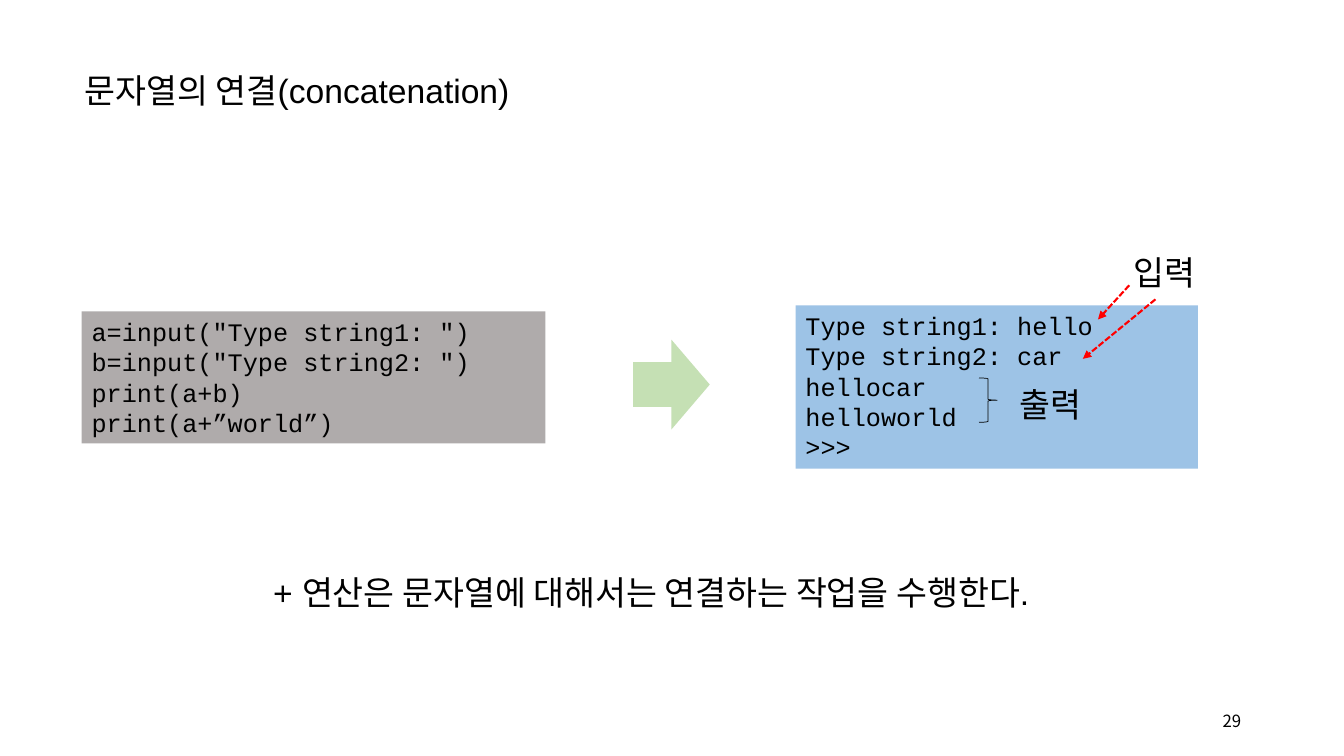
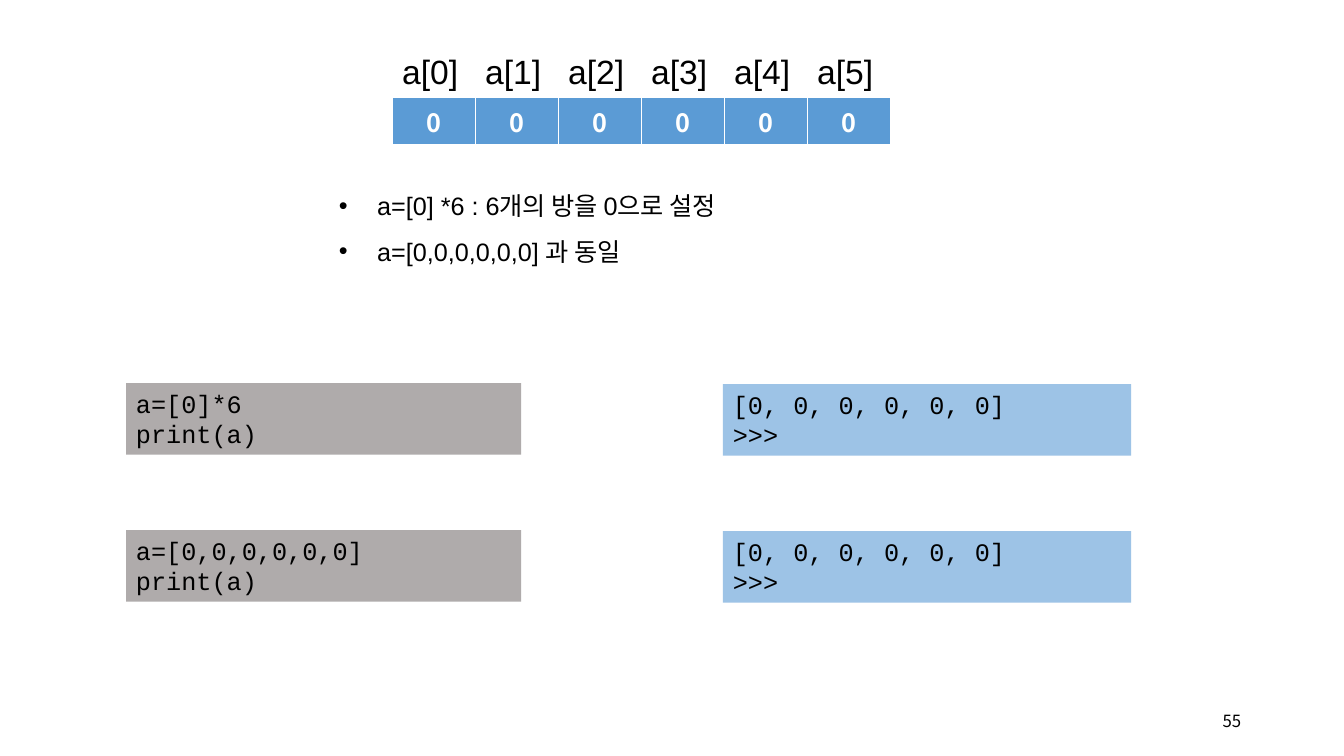
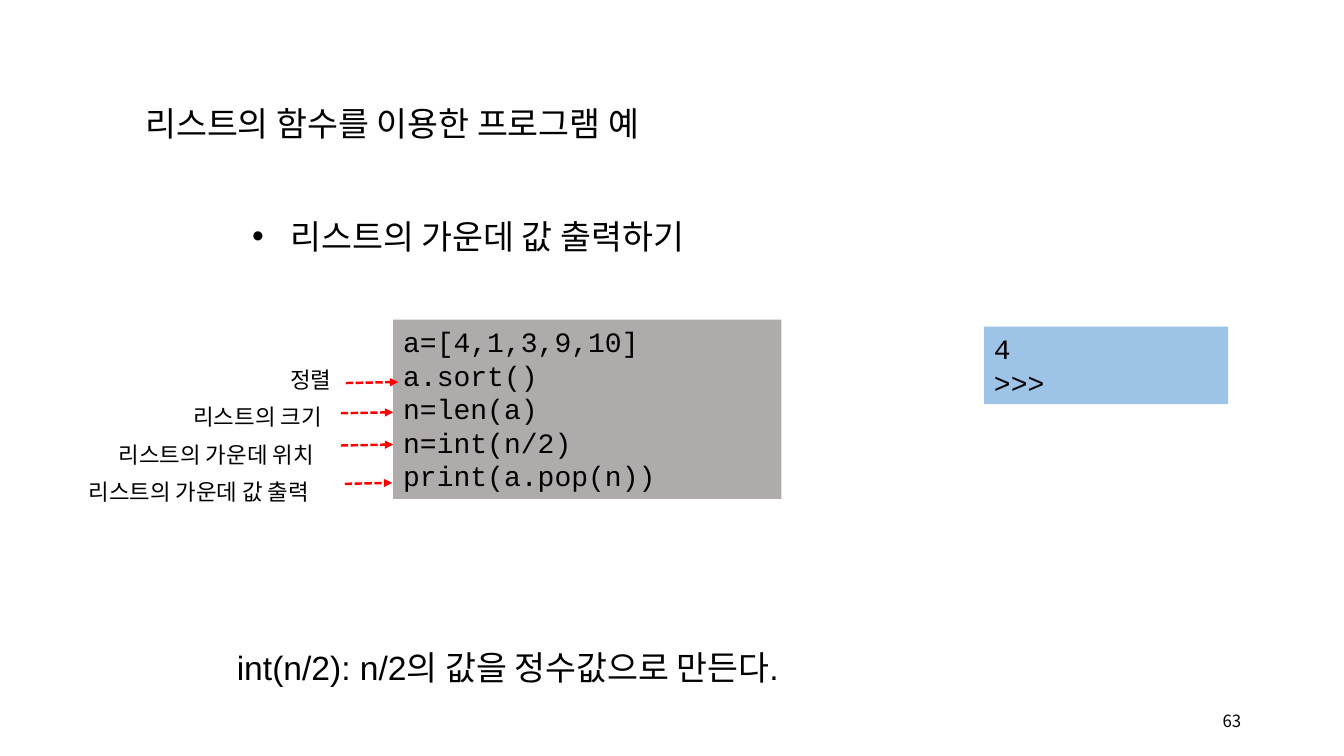
from collections import namedtuple

from lxml import etree
from pptx import Presentation
from pptx.dml.color import RGBColor
from pptx.enum.dml import MSO_LINE
from pptx.enum.shapes import MSO_CONNECTOR, MSO_SHAPE
from pptx.enum.text import MSO_ANCHOR, MSO_AUTO_SIZE, PP_ALIGN
from pptx.oxml.ns import qn
from pptx.util import Inches, Pt

# The grid has columns and rows one inch apart.
Box = namedtuple("Box", "left top width height")
SLIDE_COLUMNS, SLIDE_ROWS = 13.33, 7.5
PAGE_NUMBER_BOX = Box(11.93, 6.95, 0.48, 0.4)
LIST_INDENT = 0.38

COLORS = {
    "text": "000000",
    "code": "AFABAB",
    "result": "9DC3E6",
    "arrow": "C5E0B4",
    "pointer": "FF0000",
    "cell": "5B9BD5",
    "cell_text": "FFFFFF",
}
SANS, MONO, KOREAN = "Arial", "Courier New", "Noto Sans CJK KR"
LEFT, CENTER, RIGHT = PP_ALIGN.LEFT, PP_ALIGN.CENTER, PP_ALIGN.RIGHT
TOP, MIDDLE = MSO_ANCHOR.TOP, MSO_ANCHOR.MIDDLE
FIT_SHAPE, NO_FIT = MSO_AUTO_SIZE.SHAPE_TO_FIT_TEXT, MSO_AUTO_SIZE.NONE
STRAIGHT, DASH = MSO_CONNECTOR.STRAIGHT, MSO_LINE.SQUARE_DOT
RECTANGLE, RIGHT_ARROW, RIGHT_BRACE = (
    MSO_SHAPE.RECTANGLE, MSO_SHAPE.RIGHT_ARROW, MSO_SHAPE.RIGHT_BRACE)
TITLE_ONLY, TITLE_AND_LIST, BLANK_TITLE_LIST = 5, 1, 1


def rgb(name):
    return RGBColor.from_string(COLORS[name])


def emu(box):
    return [Inches(value) for value in box]


def set_all(target, values):
    for name, value in values.items():
        setattr(target, name, value)


def write(frame, lines, font=SANS, size=24, color="text", bold=False,
          align=LEFT, spacing=1.5, indent=None):
    """Fill a text frame with one paragraph for each line."""
    for number, line in enumerate(lines):
        para = frame.add_paragraph() if number else frame.paragraphs[0]
        set_all(para, {"alignment": align, "line_spacing": spacing,
                       "space_before": Pt(0)})
        if indent:
            properties = para._p.get_or_add_pPr()
            properties.set("marL", str(Inches(indent)))
            properties.set("indent", str(-Inches(indent)))
        span = para.add_run()
        span.text = line
        set_all(span.font, {"name": font, "size": Pt(size), "bold": bold})
        span.font.color.rgb = rgb(color)


def fill_placeholder(holder, box, lines, **style):
    set_all(holder, dict(zip(Box._fields, emu(box))))
    set_all(holder.text_frame, {"word_wrap": True, "auto_size": NO_FIT,
                                "vertical_anchor": TOP})
    write(holder.text_frame, lines, **style)


def title(page, box, text):
    fill_placeholder(page.shapes.title, box, [text])


def bullet_list(page, box, lines, size=24):
    fill_placeholder(page.placeholders[1], box, lines, size=size, indent=LIST_INDENT)


def label(page, box, text, size=24):
    frame = page.shapes.add_textbox(*emu(box)).text_frame
    set_all(frame, {"word_wrap": False, "auto_size": FIT_SHAPE})
    write(frame, [text], size=size)


def page_number(page, number):
    frame = page.shapes.add_textbox(*emu(PAGE_NUMBER_BOX)).text_frame
    set_all(frame, {"word_wrap": True, "vertical_anchor": MIDDLE})
    write(frame, [str(number)], font=KOREAN, size=12, align=RIGHT, spacing=1.0)


def filled_shape(page, kind, box, color):
    shape = page.shapes.add_shape(kind, *emu(box))
    shape.shadow.inherit = False
    shape.fill.solid()
    shape.fill.fore_color.rgb = rgb(color)
    shape.line.fill.background()
    return shape


def listing(page, box, color, lines, size=18):
    frame = filled_shape(page, RECTANGLE, box, color).text_frame
    set_all(frame, {"word_wrap": True, "vertical_anchor": TOP})
    write(frame, lines, font=MONO, size=size, spacing=1.0)


def pointer(page, start, end, width=1.5):
    """Draw a dashed red arrow."""
    line = page.shapes.add_connector(STRAIGHT, *emu(start + end))
    set_all(line.line, {"width": Pt(width), "dash_style": DASH})
    line.line.color.rgb = rgb("pointer")
    etree.SubElement(line.line._get_or_add_ln(), qn("a:tailEnd"), type="triangle")
    etree.SubElement(line._element.spPr, qn("a:effectLst"))


def console(page, box):
    """Show the program's result, with its input and output marked."""
    left, top = box.left, box.top
    listing(page, box, "result", ["Type string1: hello", "Type string2: car",
                                  "hellocar", "helloworld", ">>>"])
    label(page, Box(left + 3.25, top - 0.78, 0.88, 0.71), "입력")
    label(page, Box(left + 2.12, top + 0.53, 0.88, 0.71), "출력")
    pointer(page, (left + 3.31, top - 0.2), (left + 3, top + 0.14))
    pointer(page, (left + 3.57, top - 0.06), (left + 2.85, top + 0.53))
    brace = page.shapes.add_shape(
        RIGHT_BRACE, *emu(Box(left + 1.82, top + 0.72, 0.18, 0.44)))
    brace.shadow.inherit = False
    brace.adjustments[0] = 0.05
    brace.fill.background()
    brace.line.color.rgb = rgb("text")
    brace.line.width = Pt(0.5)


def array_table(page, box, values):
    """Draw one row of cells, with the index of each above it."""
    step = box.width / len(values)
    table = page.shapes.add_table(1, len(values), *emu(box)).table
    for index, value in enumerate(values):
        table.columns[index].width = Inches(step)
        cell = table.cell(0, index)
        cell.fill.solid()
        cell.fill.fore_color.rgb = rgb("cell")
        write(cell.text_frame, [value], font=KOREAN, size=18, color="cell_text",
              bold=True, align=CENTER, spacing=1.0)
        label(page, Box(box.left + index * step, box.top - 0.71, 0.76, 0.71),
              f"a[{index}]")


def explained_code(page, box):
    """Show a program with a note and a pointer for each line after the first."""
    listing(page, box, "code", ["a=[4,1,3,9,10]", "a.sort()", "n=len(a)",
                                "n=int(n/2)", "print(a.pop(n))"], size=20)
    notes = [  # text, width, note's right, pointer's start, end and height
        ("정렬", 0.65, -0.47, -0.47, 0.05, 0.63),
        ("리스트의 크기", 1.61, -0.47, -0.52, 0, 0.93),
        ("리스트의 가운데 위치", 2.35, -0.47, -0.52, 0, 1.25),
        ("리스트의 가운데 값 출력", 2.64, -0.48, -0.48, -0.01, 1.63),
    ]
    for row, (text, width, right, start, end, height) in enumerate(notes):
        label(page, Box(box.left + right - width, box.top + 0.28 + row * 0.37,
                        width, 0.5), text, size=16)
        pointer(page, (box.left + start, box.top + height),
                (box.left + end, box.top + height - 0.01), width=1.75)


def concatenation_slide(page):
    title(page, Box(0.74, 0.44, 4.64, 0.71), "문자열의 연결(concatenation)")
    listing(page, Box(0.81, 3.09, 4.6, 1.31), "code",
            ['a=input("Type string1: ")', 'b=input("Type string2: ")',
             "print(a+b)", "print(a+”world”)"])
    filled_shape(page, RIGHT_ARROW, Box(6.28, 3.37, 0.76, 0.89), "arrow")
    console(page, Box(7.89, 3.03, 3.99, 1.62))
    label(page, Box(2.61, 5.42, 8.45, 0.71),
          "+ 연산은 문자열에 대해서는 연결하는 작업을 수행한다.")


def array_slide(page):
    heading = page.shapes.title._element
    heading.getparent().remove(heading)
    array_table(page, Box(3.89, 0.97, 4.94, 0.41), ["0"] * 6)
    bullet_list(page, Box(3.26, 1.69, 6.67, 1.01),
                ["a=[0] *6 : 6개의 방을 0으로 설정", "a=[0,0,0,0,0,0] 과 동일"],
                size=18)
    for row, statement in enumerate(["a=[0]*6", "a=[0,0,0,0,0,0]"]):
        top = 3.8 + row * 1.46
        listing(page, Box(1.25, top, 3.92, 0.71), "code", [statement, "print(a)"])
        listing(page, Box(7.17, top + 0.01, 4.05, 0.71), "result",
                ["[0, 0, 0, 0, 0, 0]", ">>>"])


def middle_value_slide(page):
    title(page, Box(1.34, 0.77, 5.62, 0.71), "리스트의 함수를 이용한 프로그램 예")
    bullet_list(page, Box(2.4, 1.89, 4.9, 0.63), ["리스트의 가운데 값 출력하기"])
    explained_code(page, Box(3.9, 3.17, 3.85, 1.78))
    listing(page, Box(9.76, 3.24, 2.42, 0.77), "result", ["4", ">>>"], size=20)
    label(page, Box(2.25, 6.17, 5.98, 0.71),
          "int(n/2): n/2의 값을 정수값으로 만든다.")


def main():
    deck = Presentation()
    deck.slide_width, deck.slide_height = Inches(SLIDE_COLUMNS), Inches(SLIDE_ROWS)
    for build, layout, number in [(concatenation_slide, TITLE_ONLY, 29),
                                  (array_slide, TITLE_AND_LIST, 55),
                                  (middle_value_slide, TITLE_AND_LIST, 63)]:
        page = deck.slides.add_slide(deck.slide_layouts[layout])
        build(page)
        page_number(page, number)
    deck.save("out.pptx")


if __name__ == "__main__":
    main()
